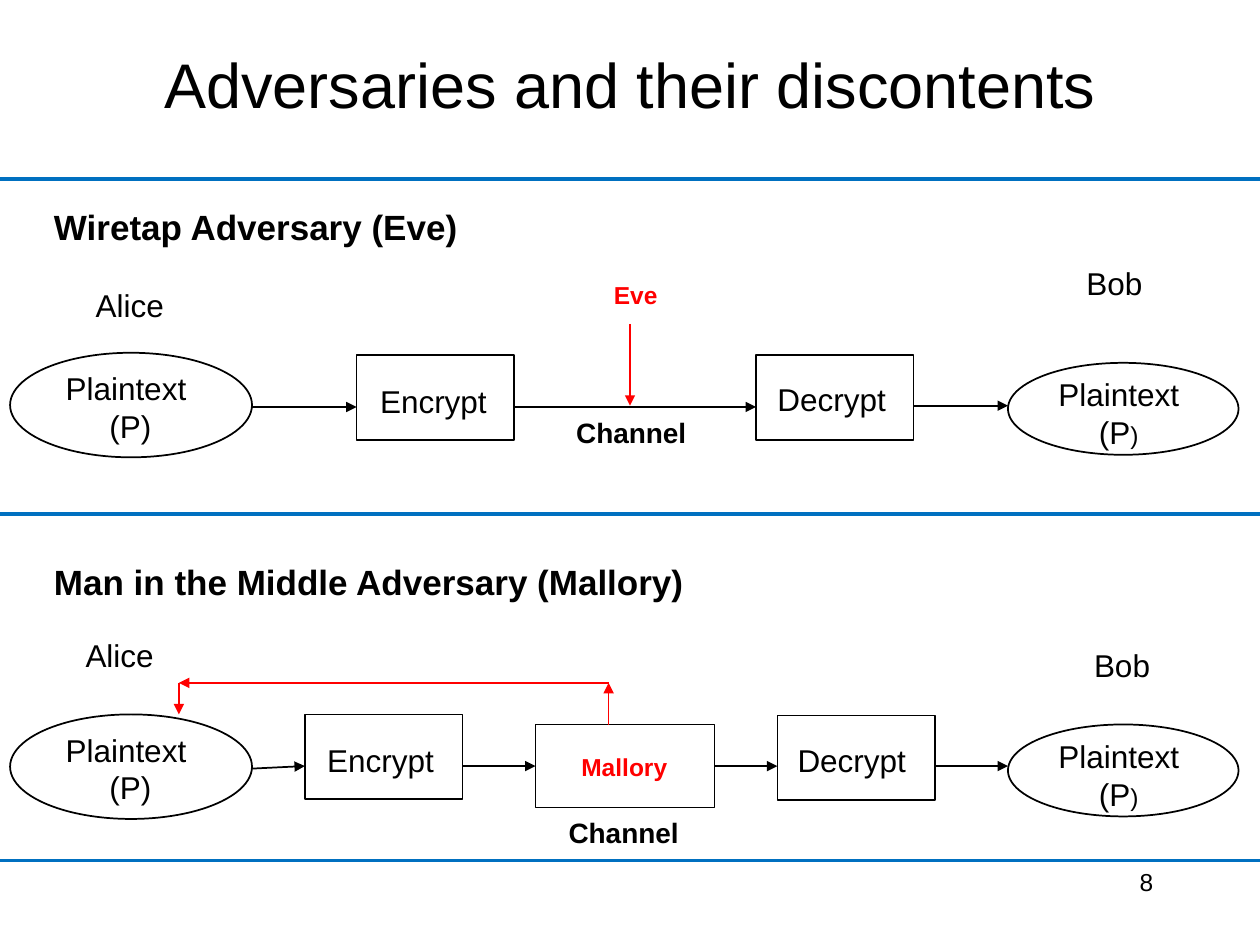
from dataclasses import dataclass

from lxml.etree import SubElement
from pptx import Presentation
from pptx.dml.color import RGBColor
from pptx.enum.shapes import MSO_CONNECTOR as Connector, MSO_SHAPE as Shape
from pptx.enum.text import MSO_ANCHOR as Anchor, MSO_AUTO_SIZE as AutoSize, PP_ALIGN as Align
from pptx.oxml.ns import qn
from pptx.util import Pt

SCALE = 9144


def px(*lengths):
    return [length * SCALE for length in lengths]


@dataclass(frozen=True)
class Theme:
    font: str = "Arial"
    ink: str = "000000"
    alert: str = "FF0000"
    rule: str = "0070C0"
    title: int = 36
    heading: int = 20
    body: int = 18
    channel: int = 16
    small: int = 14
    thin: int = 1
    thick: int = 2


THEME = Theme()


def write(frame, *lines, size=THEME.body, color=THEME.ink, bold=False, align=Align.CENTER):
    for index, line in enumerate(lines):
        para = frame.paragraphs[0] if index == 0 else frame.add_paragraph()
        para.alignment = align
        for piece in line if isinstance(line, list) else [(line, size)]:
            words, points = piece
            span = para.add_run()
            span.text = words
            span.font.name = THEME.font
            span.font.size = Pt(points)
            span.font.bold = bold
            span.font.color.rgb = RGBColor.from_string(color)


class Page:
    def __init__(self, deck, theme):
        self.theme = theme
        self.slide = deck.slides.add_slide(deck.slide_layouts[5])
        self.shapes = self.slide.shapes

    def title(self, words, left, top, width, height):
        box = self.shapes.title
        box.left, box.top, box.width, box.height = px(left, top, width, height)
        box.text_frame.vertical_anchor = Anchor.MIDDLE
        write(box.text_frame, words, size=self.theme.title)

    def text(self, *lines, left, top, width, height, wrap=False, **style):
        box = self.shapes.add_textbox(*px(left, top, width, height))
        box.text_frame.word_wrap = wrap
        box.text_frame.auto_size = AutoSize.SHAPE_TO_FIT_TEXT
        write(box.text_frame, *lines, **style)

    def outline(self, kind, left, top, width, height):
        shape = self.shapes.add_shape(kind, *px(left, top, width, height))
        shape.shadow.inherit = False
        shape.fill.background()
        shape.line.color.rgb = RGBColor.from_string(self.theme.ink)
        shape.line.width = Pt(self.theme.thin)
        return shape

    def line(self, start, end, color, weight):
        line = self.shapes.add_connector(Connector.STRAIGHT, *px(*start, *end))
        line.line.color.rgb = RGBColor.from_string(color)
        line.line.width = Pt(weight)
        SubElement(line._element.spPr, qn("a:effectLst"))
        return line

    def rule(self, top):
        self.line((0, top), (1000, top), self.theme.rule, self.theme.thick)

    def arrow(self, start, end, color=THEME.ink):
        arrow = self.line(start, end, color, self.theme.thin)
        SubElement(arrow.line._get_or_add_ln(), qn("a:tailEnd"), type="triangle")
        return arrow

    def heading(self, words, top, width):
        self.text(words, left=33, top=top, width=width, height=43, wrap=True,
                  size=self.theme.heading, bold=True, align=Align.LEFT)

    def name(self, words, left, top, width):
        self.text(words, left=left, top=top, width=width, height=40)

    def plaintexts(self, top):
        self.outline(Shape.OVAL, 8, top, 192, 83)
        self.text("Plaintext", " (P)", left=42, top=top + 8, width=116, height=70)
        self.outline(Shape.OVAL, 800, top + 8, 183, 73)
        self.text("Plaintext", [("(P", self.theme.body), (")", self.theme.small)],
                  left=830, top=top + 13, width=116, height=70)

    def step(self, words, left, top, label_left, label_top):
        self.outline(Shape.RECTANGLE, left, top, 125, 67)
        self.name(words, label_left, label_top, 112)

    def channel(self, left, top):
        self.text("Channel", left=left, top=top, width=108, height=37,
                  size=self.theme.channel, bold=True)

    def adversary(self, words, left, top, width):
        self.text(words, left=left, top=top, width=width, height=33, wrap=True,
                  size=self.theme.small, color=self.theme.alert, bold=True)


def draw_wiretap(page):
    page.heading("Wiretap Adversary (Eve)", 158, 383)
    page.name("Alice", 66, 222, 74)
    page.name("Bob", 852, 205, 65)
    page.plaintexts(280)
    page.step("Encrypt", 283, 282, 288, 298)
    page.step("Decrypt", 600, 282, 604, 297)
    page.adversary("Eve", 417, 217, 175)
    page.channel(447, 325)
    for start, end, top in [(200, 283, 323), (408, 600, 323), (725, 800, 322)]:
        page.arrow((start, top), (end, top))
    page.arrow((500, 257), (500, 322), THEME.alert)


def draw_middle(page):
    page.heading("Man in the Middle Adversary (Mallory)", 440, 900)
    page.name("Alice", 58, 500, 74)
    page.name("Bob", 858, 508, 65)
    page.plaintexts(567)
    page.step("Encrypt", 242, 567, 246, 583)
    page.step("Decrypt", 617, 568, 620, 583)
    mallory = page.outline(Shape.RECTANGLE, 425, 575, 142, 66)
    page.adversary("Mallory", 433, 592, 125)
    page.channel(441, 642)
    page.arrow((200, 610), (242, 608))
    page.arrow((367, 608), (425, 608)).end_connect(mallory, 1)
    page.arrow((567, 608), (617, 608)).begin_connect(mallory, 3)
    page.arrow((742, 608), (800, 608))
    route = [(483, 575), (483, 542), (142, 542), (142, 567)]
    for start, end in zip(route, route[1:]):
        page.arrow(start, end, THEME.alert)


def main():
    deck = Presentation()
    deck.slide_width, deck.slide_height = px(1000, 750)
    page = Page(deck, THEME)
    page.title("Adversaries and their discontents", 75, 25, 850, 83)
    draw_wiretap(page)
    draw_middle(page)
    for top in (142, 408, 683):
        page.rule(top)
    page.text("8", left=717, top=683, width=208, height=50, wrap=True,
              size=THEME.small, align=Align.RIGHT)
    deck.save("out.pptx")


if __name__ == "__main__":
    main()
